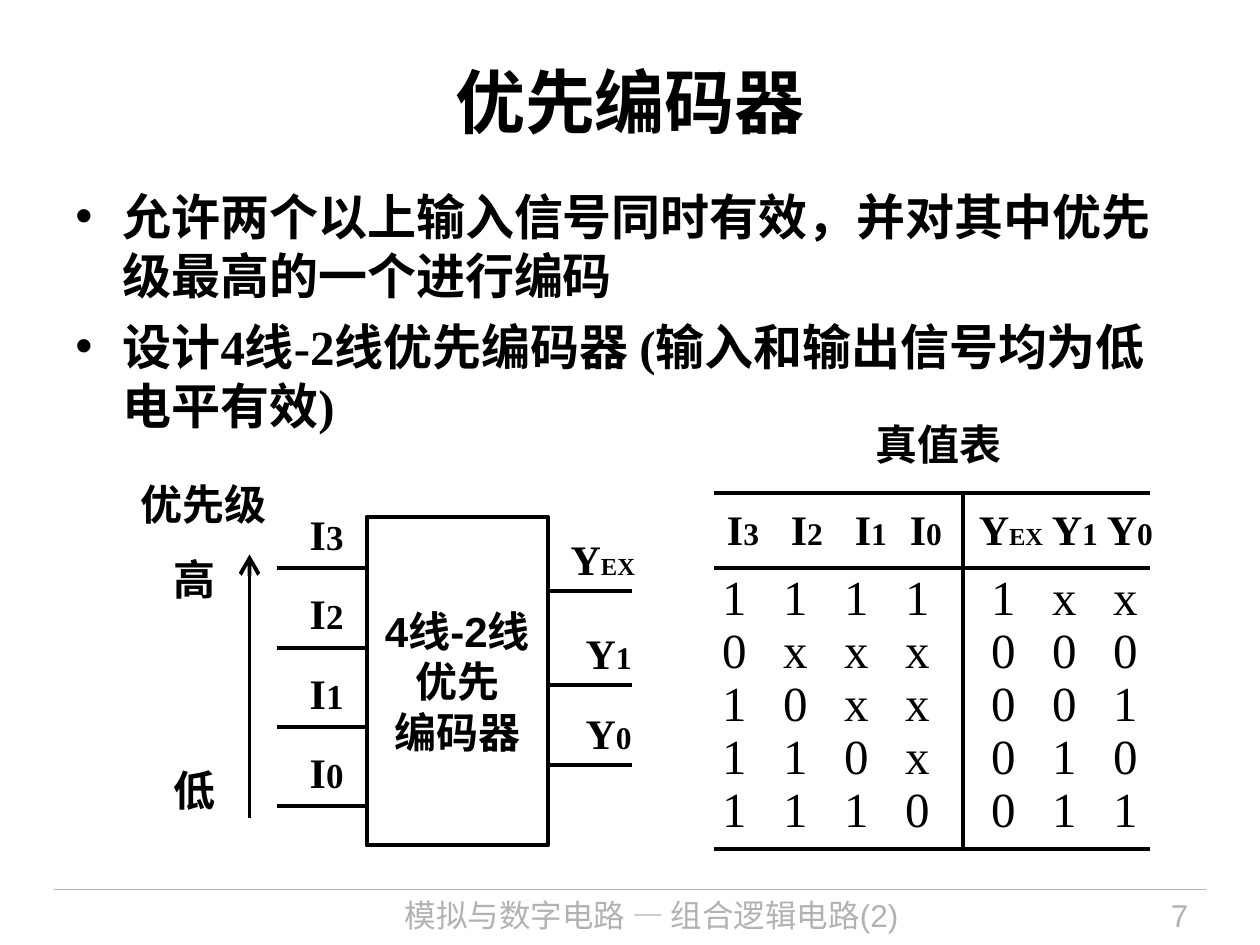
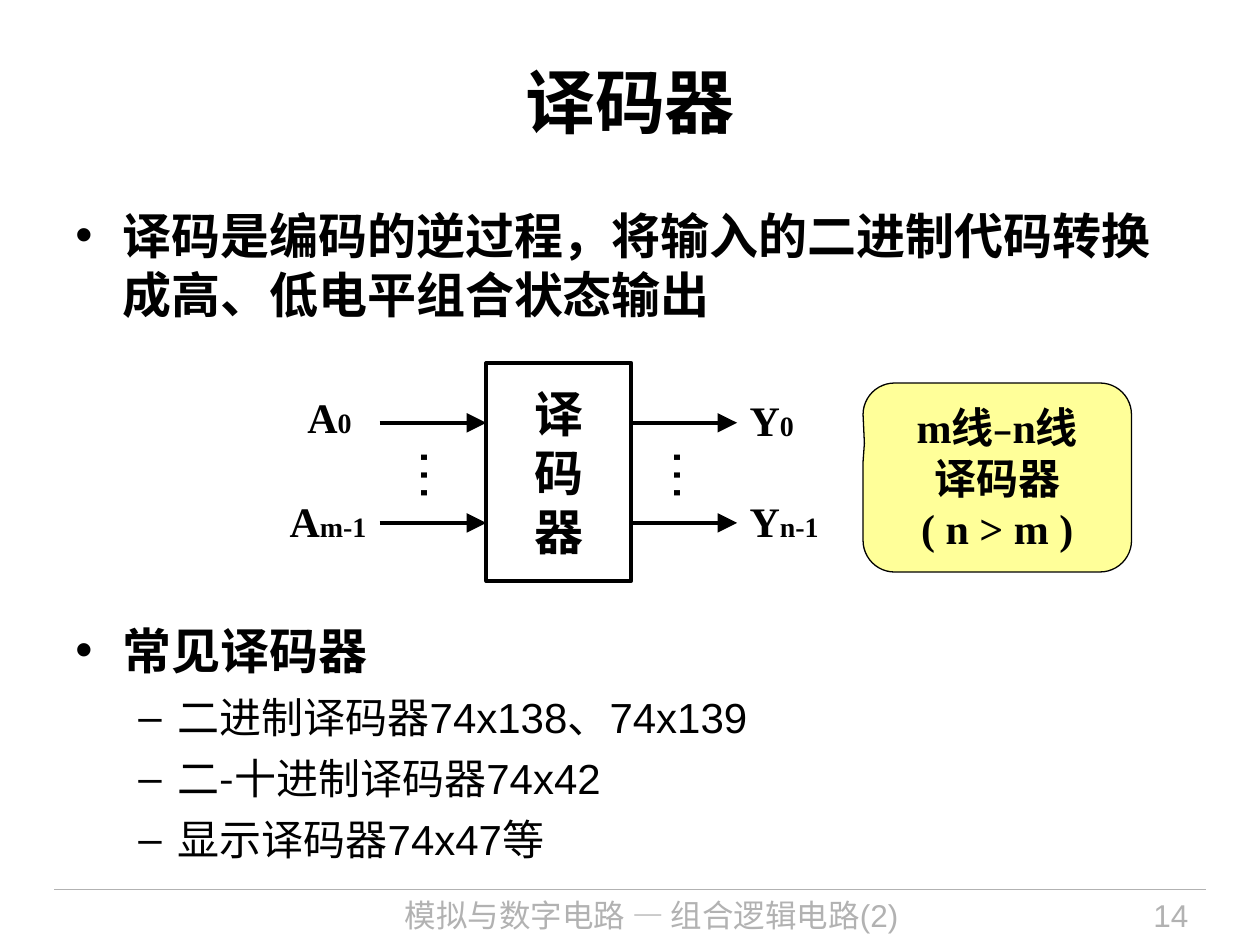
from lxml import etree
from pptx import Presentation
from pptx.dml.color import RGBColor
from pptx.enum.shapes import MSO_CONNECTOR, MSO_SHAPE
from pptx.enum.text import MSO_ANCHOR, PP_ALIGN
from pptx.oxml.ns import qn
from pptx.util import Pt

LEFT, CENTER, RIGHT = PP_ALIGN.LEFT, PP_ALIGN.CENTER, PP_ALIGN.RIGHT
TOP, MIDDLE = MSO_ANCHOR.TOP, MSO_ANCHOR.MIDDLE
STRAIGHT = MSO_CONNECTOR.STRAIGHT
RECTANGLE, CALLOUT = MSO_SHAPE.RECTANGLE, MSO_SHAPE.ROUNDED_RECTANGULAR_CALLOUT
COLORS = {"ink": "000000", "muted": "B2B2B2", "callout": "FFFF99"}
SANS, SERIF, CJK = "Arial", "Times New Roman", "Noto Sans CJK KR"
FOOTER = "模拟与数字电路 — 组合逻辑电路(2)"
SLIDE_WIDTH, SLIDE_HEIGHT = 720, 540
MARGINS = {"margin_left": 7.2, "margin_right": 7.2, "margin_top": 3.6, "margin_bottom": 3.6}


def write_text(frame, paragraphs, align=LEFT, color="ink", bold=True, wrap=False, anchor=TOP, **margins):
    for name, value in {**MARGINS, **margins}.items():
        setattr(frame, name, Pt(value))
    frame.word_wrap = wrap
    frame.vertical_anchor = anchor
    for index, runs in enumerate(paragraphs):
        paragraph = frame.paragraphs[0] if index == 0 else frame.add_paragraph()
        paragraph.alignment = align
        for text, size, font in runs:
            run = paragraph.add_run()
            run.text = text
            for name, value in {"size": Pt(size), "name": font, "bold": bold}.items():
                setattr(run.font, name, value)
            run.font.color.rgb = RGBColor.from_string(COLORS[color])


def draw_line(slide, start_x, start_y, end_x, end_y, color="ink", width=2.25, arrow=None):
    line = slide.shapes.add_connector(STRAIGHT, Pt(start_x), Pt(start_y), Pt(end_x), Pt(end_y))
    line.line.color.rgb = RGBColor.from_string(COLORS[color])
    line.line.width = Pt(width)
    if arrow:
        etree.SubElement(line.line._get_or_add_ln(), qn("a:tailEnd"), type=arrow, w="lg", len="lg")
    etree.SubElement(line._element.spPr, qn("a:effectLst"))


presentation = Presentation()
presentation.slide_width, presentation.slide_height = Pt(SLIDE_WIDTH), Pt(SLIDE_HEIGHT)

slides = []
for title, number in [("优先编码器", "7"), ("译码器", "14")]:
    slide = presentation.slides.add_slide(presentation.slide_layouts[5])
    slides.append(slide)
    heading = slide.shapes.title
    heading.left, heading.top, heading.width, heading.height = Pt(36), Pt(12.2), Pt(648), Pt(90)
    write_text(heading.text_frame, [[(title, 40, SANS)]], CENTER, wrap=True, anchor=MIDDLE)
    draw_line(slide, 31, 508.3, 689, 508.3, "muted", 0.75)
    for text, left, width, align in [(FOOTER, 179.3, 386, CENTER), (number, 590.4, 95.8, RIGHT)]:
        box = slide.shapes.add_textbox(Pt(left), Pt(508.3), Pt(width), Pt(31.7))
        write_text(box.text_frame, [[(text, 18, SANS)]], align, "muted", False, True)
encoder_slide, decoder_slide = slides

levels = {
    "point": {"indent": 27, "hang": 27, "bullet": "•", "after": 7, "bold": True},
    "detail": {"indent": 58.5, "hang": 22.5, "bullet": "–", "after": 6, "bold": False},
}
bodies = [
    (encoder_slide, 103, 158.4, [
        ("point", 0, [("允许两个以上输入信号同时有效，并对其中优先级最高的一个进行编码", 28, SERIF)]),
        ("point", 0, [("设计4线-2线优先编码器 (输入和输出信号均为低电平有效)", 28, SERIF)]),
    ]),
    (decoder_slide, 113.8, 388, [
        ("point", 0, [("译码是编码的逆过程，将输入的二进制代码转换成高、低电平组合状态输出", 28, SANS)]),
        ("point", 163, [("常见译码器", 28, SANS)]),
        ("detail", 0, [("二进制译码器74x138、74x139", 24, SANS)]),
        ("detail", 0, [("二", 24, SANS), ("-", 24, CJK), ("十进制译码器74x42", 24, SANS)]),
        ("detail", 0, [("显示译码器74x47等", 24, SANS)]),
    ]),
]
for slide, top, height, entries in bodies:
    frame = slide.shapes.add_textbox(Pt(36), Pt(top), Pt(648), Pt(height)).text_frame
    write_text(frame, [runs for _, _, runs in entries], wrap=True)
    for paragraph, (level, before, _) in zip(frame.paragraphs, entries):
        style = levels[level]
        paragraph.space_before, paragraph.space_after = Pt(before), Pt(style["after"])
        for run in paragraph.runs:
            run.font.bold = style["bold"]
        properties = paragraph._p.get_or_add_pPr()
        properties.set("marL", str(Pt(style["indent"])))
        properties.set("indent", str(-Pt(style["hang"])))
        etree.SubElement(properties, qn("a:buFont"), typeface=SANS)
        etree.SubElement(properties, qn("a:buChar"), char=style["bullet"])

blocks = [
    (encoder_slide, RECTANGLE, 209.5, 295.2, 103.7, 187.9, None, 2.25, 3.6,
     [[("4线-2线", 24, SANS)], [("优先", 24, SANS)], [("编码器", 24, SANS)]]),
    (decoder_slide, RECTANGLE, 277.9, 207.4, 82.8, 124.6, None, 2.25, 0,
     [[(character, 28, SANS)] for character in "译码器"]),
    (decoder_slide, CALLOUT, 493.2, 218.9, 153.4, 108, "callout", 0.75, 3.6,
     [[("m线", 24, SERIF), ("–", 20, SANS), ("n线", 24, SERIF)],
      [("译码器", 24, SERIF)], [("( n > m )", 24, SERIF)]]),
]
for slide, kind, left, top, width, height, fill, outline, inset, paragraphs in blocks:
    block = slide.shapes.add_shape(kind, Pt(left), Pt(top), Pt(width), Pt(height))
    block.shadow.inherit = False
    block.line.color.rgb = RGBColor.from_string(COLORS["ink"])
    block.line.width = Pt(outline)
    if fill:
        block.fill.solid()
        block.fill.fore_color.rgb = RGBColor.from_string(COLORS[fill])
    else:
        block.fill.background()
    if kind == CALLOUT:
        for index, value in enumerate([-0.495, -0.181, 0.167]):
            block.adjustments[index] = value
    write_text(block.text_frame, paragraphs, CENTER, anchor=MIDDLE, margin_top=inset, margin_bottom=inset)

labels = [
    (encoder_slide, 73.4, 270, 86.4, [("优先级", 24, SANS)]),
    (encoder_slide, 92.2, 312.5, 38.2, [("高", 24, SANS)]),
    (encoder_slide, 92.2, 433.4, 38.2, [("低", 24, SANS)]),
    (encoder_slide, 493.2, 235.4, 86.4, [("真值表", 24, SANS)]),
    (decoder_slide, 168.5, 220, 39.6, [("A", 24, SERIF), ("0", 16, SERIF)]),
    (decoder_slide, 158.4, 279.4, 58.3, [("A", 24, SERIF), ("m-1", 16, SERIF)]),
    (decoder_slide, 421.2, 221.8, 39.6, [("Y", 24, SERIF), ("0", 16, SERIF)]),
    (decoder_slide, 421.2, 279.4, 54, [("Y", 24, SERIF), ("n-1", 16, SERIF)]),
]
for index in range(4):
    line_y = 324.7 + 45.36 * index
    draw_line(encoder_slide, 158.4, line_y, 209.5, line_y)
    labels.append((encoder_slide, 169.9, line_y - 37.6, 38, [("I", 24, SERIF), (str(3 - index), 20, SERIF)]))
for name, size, left, line_y in [("EX", 14, 319, 337.7), ("1", 18, 327.6, 391.7), ("0", 18, 327.6, 437)]:
    draw_line(encoder_slide, 313.2, line_y, 361.1, line_y)
    labels.append((encoder_slide, left, line_y - 36.4, 56, [("Y", 24, SERIF), (name, size, SERIF)]))
for slide, left, top, width, runs in labels:
    box = slide.shapes.add_textbox(Pt(left), Pt(top), Pt(width), Pt(36))
    write_text(box.text_frame, [runs], wrap=True, margin_right=0)
draw_line(encoder_slide, 142.6, 467.3, 142.6, 316.8, arrow="arrow")

for line_y in (241.6, 298.8):
    for start_x, end_x in [(217, 277.9), (360.7, 421.2)]:
        draw_line(decoder_slide, start_x, line_y, end_x, line_y, arrow="triangle")
for left in (234.4, 379.1):
    dots = decoder_slide.shapes.add_textbox(Pt(left), Pt(255.6), Pt(38.2), Pt(32.4)).text_frame
    write_text(dots, [[("…", 32, SANS)]], CENTER, bold=False, **dict.fromkeys(MARGINS, 0))
    dots._txBody.bodyPr.set("vert", "eaVert")

truth_rows = ["11111xx", "0xxx000", "10xx001", "110x010", "1110011"]
headers = [("I", "3", 18), ("I", "2", 18), ("I", "1", 18), ("I", "0", 18),
           ("Y", "EX", 14), ("Y", "1", 18), ("Y", "0", 18)]
column_edges = [408, 443, 478, 513, 550, 599, 631, 663]
header_lefts = [415.4, 452, 488.6, 520, 559.4, 601.1, 632.6]
value_lefts = [412.6 + 34.9 * index for index in range(4)] + [566.4 + 34.9 * index for index in range(3)]
HEADER_HEIGHT, ROW_HEIGHT = 46.6, 30.3
table_shape = encoder_slide.shapes.add_table(
    len(truth_rows) + 1, len(headers), Pt(column_edges[0]), Pt(281.5),
    Pt(column_edges[-1] - column_edges[0]), Pt(HEADER_HEIGHT + ROW_HEIGHT * len(truth_rows)))
table = table_shape.table
table.first_row = table.horz_banding = False
for index, row in enumerate(table.rows):
    row.height = Pt(ROW_HEIGHT if index else HEADER_HEIGHT)
for column_index, (letter, subscript, size) in enumerate(headers):
    edge = column_edges[column_index]
    table.columns[column_index].width = Pt(column_edges[column_index + 1] - edge)
    for row_index in range(len(truth_rows) + 1):
        cell = table.cell(row_index, column_index)
        cell.fill.background()
        is_header = row_index == 0
        text_left = header_lefts[column_index] if is_header else value_lefts[column_index]
        if is_header:
            runs = [(letter, 24, SERIF), (subscript, size, SERIF)]
        else:
            runs = [(truth_rows[row_index - 1][column_index], 28, SERIF)]
        write_text(cell.text_frame, [runs], bold=is_header, wrap=True)
        cell.text_frame.paragraphs[0].line_spacing = 1.0 if is_header else 0.9
        cell.vertical_anchor = TOP if is_header else MIDDLE
        cell.margin_left, cell.margin_right = Pt(text_left - edge), 0
        cell.margin_top, cell.margin_bottom = Pt(9 if is_header else 0), 0
for line_y in (281.5, 324.7, 485.3):
    draw_line(encoder_slide, 408.2, line_y, 657.4, line_y)
draw_line(encoder_slide, 550.1, 281.5, 550.1, 485.3)

presentation.save("out.pptx")
